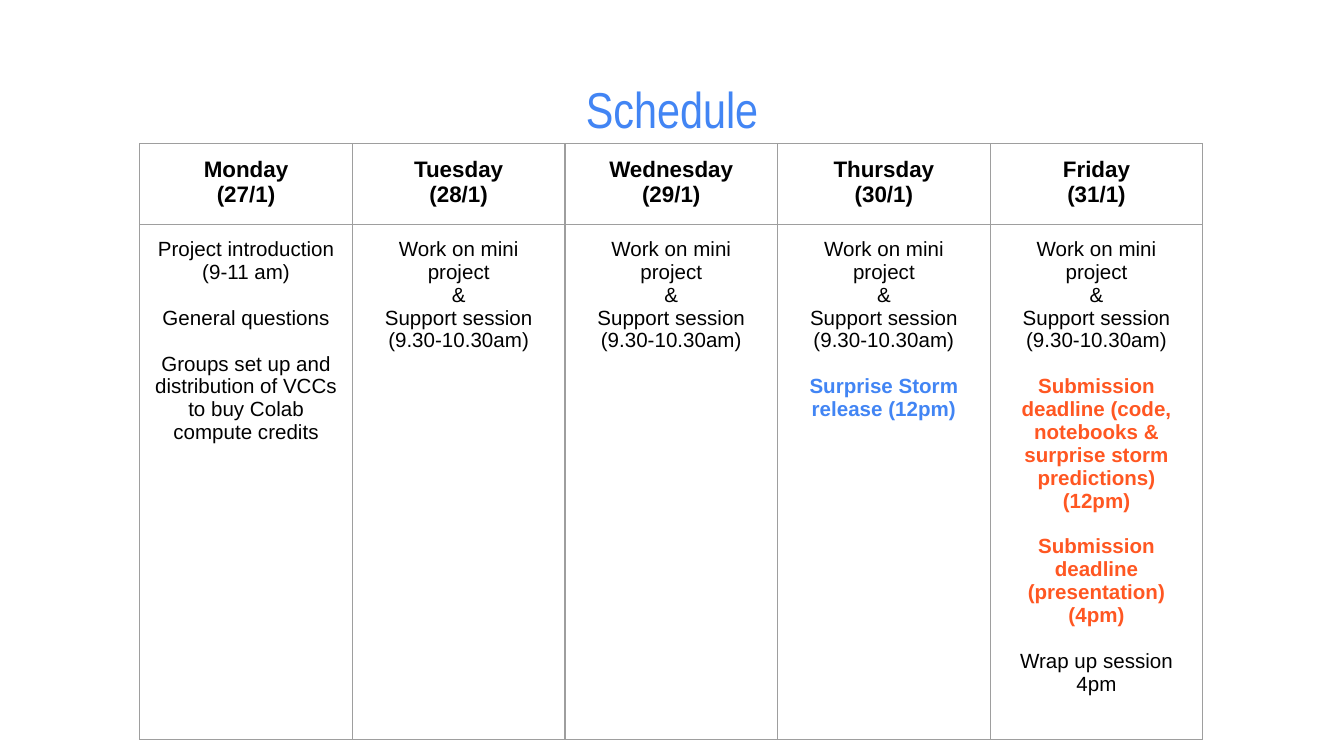
"""Build the weekly schedule slide with a five-day table."""
from lxml import etree
from pptx import Presentation
from pptx import util as u
from pptx.dml.color import RGBColor
from pptx.enum import text
from pptx.oxml import ns

COLORS = {"black": "000000", "blue": "4285F4", "orange": "FF5722", "grey": "9E9E9E"}
MARGINS = {f"margin_{side}": u.Inches(0.1) for side in ("left", "right", "top", "bottom")}
HEAD = {"size": u.Pt(12), "bold": True, "name": "Arial"}
BODY = {"size": u.Pt(11), "bold": False, "name": "Arial"}
STRONG = {**BODY, "bold": True}
TITLE = {"size": u.Pt(27), "bold": False, "name": "Arial Narrow"}
GAP = 12.3

WORK = [("Work on mini project", BODY, "black", 0), ("&", BODY, "black", 0)]
SUPPORT = WORK + [
    ("Support session", BODY, "black", 0),
    ("(9.30-10.30am)", BODY, "black", 0),
]
DAYS = [
    ("Monday", "(27/1)", [
        ("Project introduction (9-11 am)", BODY, "black", 0),
        ("General questions", BODY, "black", GAP),
        ("Groups set up and distribution of VCCs to buy Colab compute credits", BODY, "black", GAP),
    ]),
    ("Tuesday", "(28/1)", WORK + [("Support session (9.30-10.30am)", BODY, "black", 0)]),
    ("Wednesday", "(29/1)", SUPPORT),
    ("Thursday", "(30/1)", SUPPORT + [("Surprise Storm release (12pm)", STRONG, "blue", GAP)]),
    ("Friday", "(31/1)", SUPPORT + [
        ("Submission deadline (code, notebooks & surprise storm predictions) (12pm)",
         STRONG, "orange", GAP),
        ("Submission deadline (presentation) (4pm)", STRONG, "orange", GAP),
        ("Wrap up session 4pm", BODY, "black", GAP),
    ]),
]


def write(tf, lines):
    for i, (words, style, color, gap) in enumerate(lines):
        p = tf.add_paragraph() if i else tf.paragraphs[0]
        p.alignment = text.PP_ALIGN.CENTER
        if gap:
            p.space_before = u.Pt(gap)
        r = p.add_run()
        r.text = words
        for name, value in style.items():
            setattr(r.font, name, value)
        r.font.color.rgb = RGBColor.from_string(COLORS[color])


def draw_borders(cell):
    tcPr = cell._tc.get_or_add_tcPr()
    for i, edge in enumerate(("a:lnL", "a:lnR", "a:lnT", "a:lnB")):
        ln = etree.Element(ns.qn(edge), w=str(u.Pt(0.75)))
        fill = etree.SubElement(ln, ns.qn("a:solidFill"))
        etree.SubElement(fill, ns.qn("a:srgbClr"), val=COLORS["grey"])
        tcPr.insert(i, ln)


prs = Presentation()
prs.slide_width, prs.slide_height = u.Inches(10), u.Inches(10 * 9 / 16)
s = prs.slides.add_slide(prs.slide_layouts[6])

box = s.shapes.add_textbox(u.Inches(0.34), u.Inches(0.49), u.Inches(9.32), u.Inches(0.63))
tf = box.text_frame
for name, value in {**MARGINS, "word_wrap": True,
                    "vertical_anchor": text.MSO_ANCHOR.MIDDLE}.items():
    setattr(tf, name, value)
write(tf, [("Schedule", TITLE, "blue", 0)])

frame = s.shapes.add_table(
    2, len(DAYS), u.Inches(1.04), u.Inches(1.07), u.Inches(7.91), u.Inches(3.33))
table = frame.table
table.first_row = table.horz_banding = False
for row, height in zip(table.rows, (0.42, 2.91)):
    row.height = u.Inches(height)

for col, (day, date, tasks) in enumerate(DAYS):
    header = [(day, HEAD, "black", 0), (date, HEAD, "black", 0)]
    for row, lines in enumerate((header, tasks)):
        cell = table.cell(row, col)
        for name, value in MARGINS.items():
            setattr(cell, name, value)
        cell.fill.background()
        draw_borders(cell)
        write(cell.text_frame, lines)

prs.save("out.pptx")
